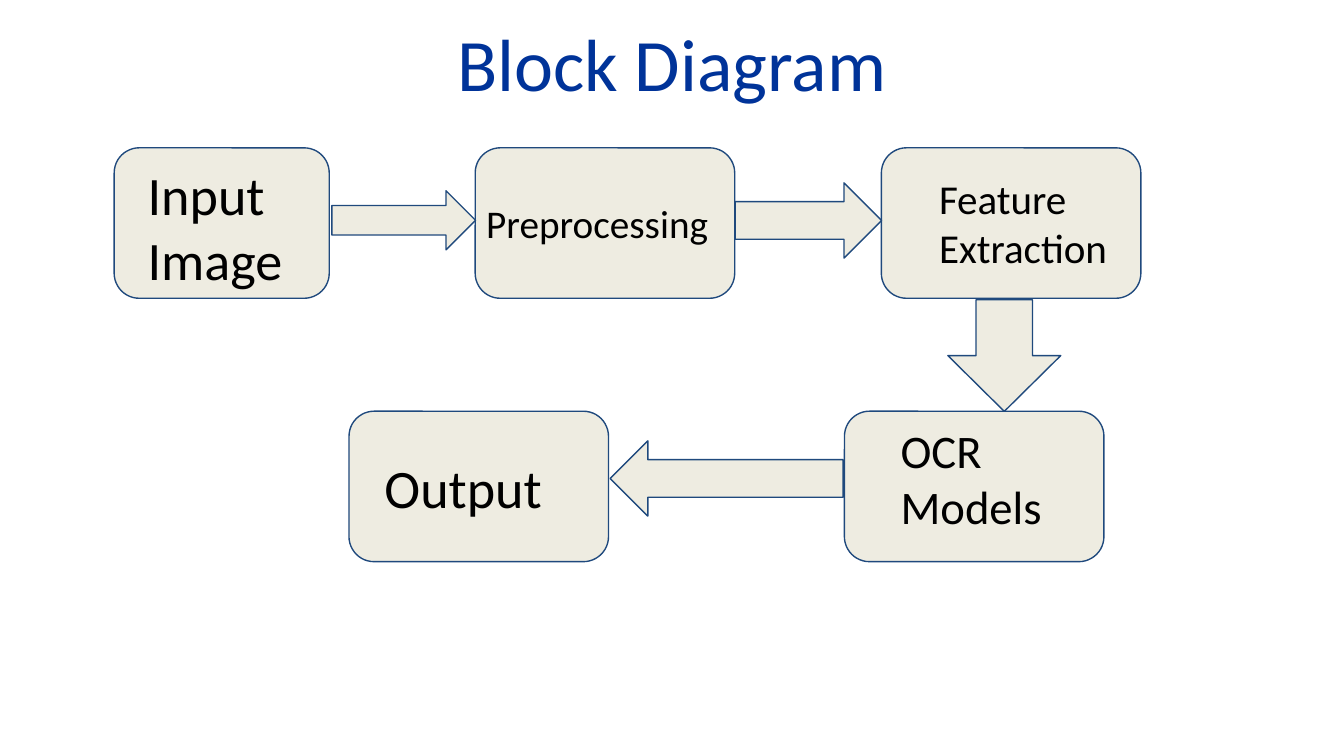
from dataclasses import dataclass

from pptx import Presentation
from pptx.dml.color import RGBColor
from pptx.enum import shapes, text
from pptx.util import Pt


@dataclass(frozen=True)
class Theme:
    font: str = "Calibri"
    title_color: RGBColor = RGBColor(0x00, 0x33, 0x99)
    label_color: RGBColor = RGBColor(0x00, 0x00, 0x00)
    fill: RGBColor = RGBColor(0xEE, 0xEC, 0xE1)
    outline: RGBColor = RGBColor(0x1F, 0x49, 0x7D)
    outline_width: float = 0.75
    title_size: float = 39.6
    large: float = 29
    medium: float = 25
    small: float = 22
    smallest: float = 21


@dataclass(frozen=True)
class Box:
    left: float
    top: float
    width: float
    height: float

    def in_points(self) -> tuple[Pt, Pt, Pt, Pt]:
        return Pt(self.left), Pt(self.top), Pt(self.width), Pt(self.height)


@dataclass(frozen=True)
class Label:
    wording: str
    box: Box
    size: float


THEME = Theme()
KIND = shapes.MSO_SHAPE
ROW_1, ROW_2 = 79.2, 220.3
STAGE_WIDTH, STAGE_HEIGHT = 139, 80.6

STAGES = [
    Box(61.2, ROW_1, 115.2, STAGE_HEIGHT),
    Box(254.6, ROW_1, STAGE_WIDTH, STAGE_HEIGHT),
    Box(472.2, ROW_1, STAGE_WIDTH, STAGE_HEIGHT),
    Box(187, ROW_2, STAGE_WIDTH, STAGE_HEIGHT),
    Box(452.4, ROW_2, STAGE_WIDTH, STAGE_HEIGHT),
]

LABELS = [
    Label("Input\nImage", Box(72, 79.2, 92.9, 85), THEME.large),
    Label("Feature Extraction", Box(496, 85.7, 115.2, 67.7), THEME.small),
    Label("OCR Models", Box(475.4, 218.9, 92.9, 74.9), THEME.medium),
    Label("Preprocessing", Box(253.4, 99.4, 143.3, 40.3), THEME.smallest),
    Label("Output", Box(198.9, 236.2, 115.2, 49.7), THEME.large),
]

FLOWS = [
    (KIND.RIGHT_ARROW, Box(177.8, 102.2, 77, 31.7)),
    (KIND.RIGHT_ARROW, Box(393.8, 98, 78.5, 40.3)),
    (KIND.DOWN_ARROW, Box(507.8, 160.6, 60.5, 59.8)),
    (KIND.LEFT_ARROW, Box(326.9, 236.2, 124.8, 40.3)),
]


def write(frame, wording: str, *, size: float, color: RGBColor,
          align=text.PP_ALIGN.LEFT, anchor=text.MSO_ANCHOR.TOP,
          insets=(7.2, 7.2, 7.2, 7.2), auto_size=text.MSO_AUTO_SIZE.NONE) -> None:
    """Fill a text frame, one paragraph a line; insets are left, top, right, bottom."""
    frame.text = wording
    frame.word_wrap = True
    frame.auto_size = auto_size
    frame.vertical_anchor = anchor
    (frame.margin_left, frame.margin_top,
     frame.margin_right, frame.margin_bottom) = map(Pt, insets)
    for paragraph in frame.paragraphs:
        paragraph.alignment = align
        paragraph.space_before = Pt(0)
        paragraph.line_spacing = 1.0
        paragraph.font.name = THEME.font
        paragraph.font.size = Pt(size)
        paragraph.font.color.rgb = color


def draw_block(slide, kind: shapes.MSO_SHAPE, box: Box) -> None:
    block = slide.shapes.add_shape(kind, *box.in_points())
    block.shadow.inherit = False
    block.fill.solid()
    block.fill.fore_color.rgb = THEME.fill
    block.line.color.rgb = THEME.outline
    block.line.width = Pt(THEME.outline_width)


def draw_label(slide, label: Label) -> None:
    holder = slide.shapes.add_textbox(*label.box.in_points())
    write(holder.text_frame, label.wording, size=label.size,
          color=THEME.label_color, auto_size=text.MSO_AUTO_SIZE.SHAPE_TO_FIT_TEXT)


def draw_title(slide, wording: str, box: Box) -> None:
    title = slide.shapes.title
    title.left, title.top, title.width, title.height = box.in_points()
    write(title.text_frame, wording, size=THEME.title_size,
          color=THEME.title_color, align=text.PP_ALIGN.CENTER,
          insets=(7.2, 9.4, 7.2, 0))


def main() -> None:
    deck = Presentation()
    deck.slide_width, deck.slide_height = Pt(720), Pt(405)
    slide = deck.slides.add_slide(deck.slide_layouts.get_by_name("Title Only"))

    draw_title(slide, "Block Diagram", Box(36, 0, 648, 58))
    for stage in STAGES:
        draw_block(slide, KIND.ROUNDED_RECTANGLE, stage)
    for label in LABELS:
        draw_label(slide, label)
    for direction, box in FLOWS:
        draw_block(slide, direction, box)

    deck.save("out.pptx")


if __name__ == "__main__":
    main()
